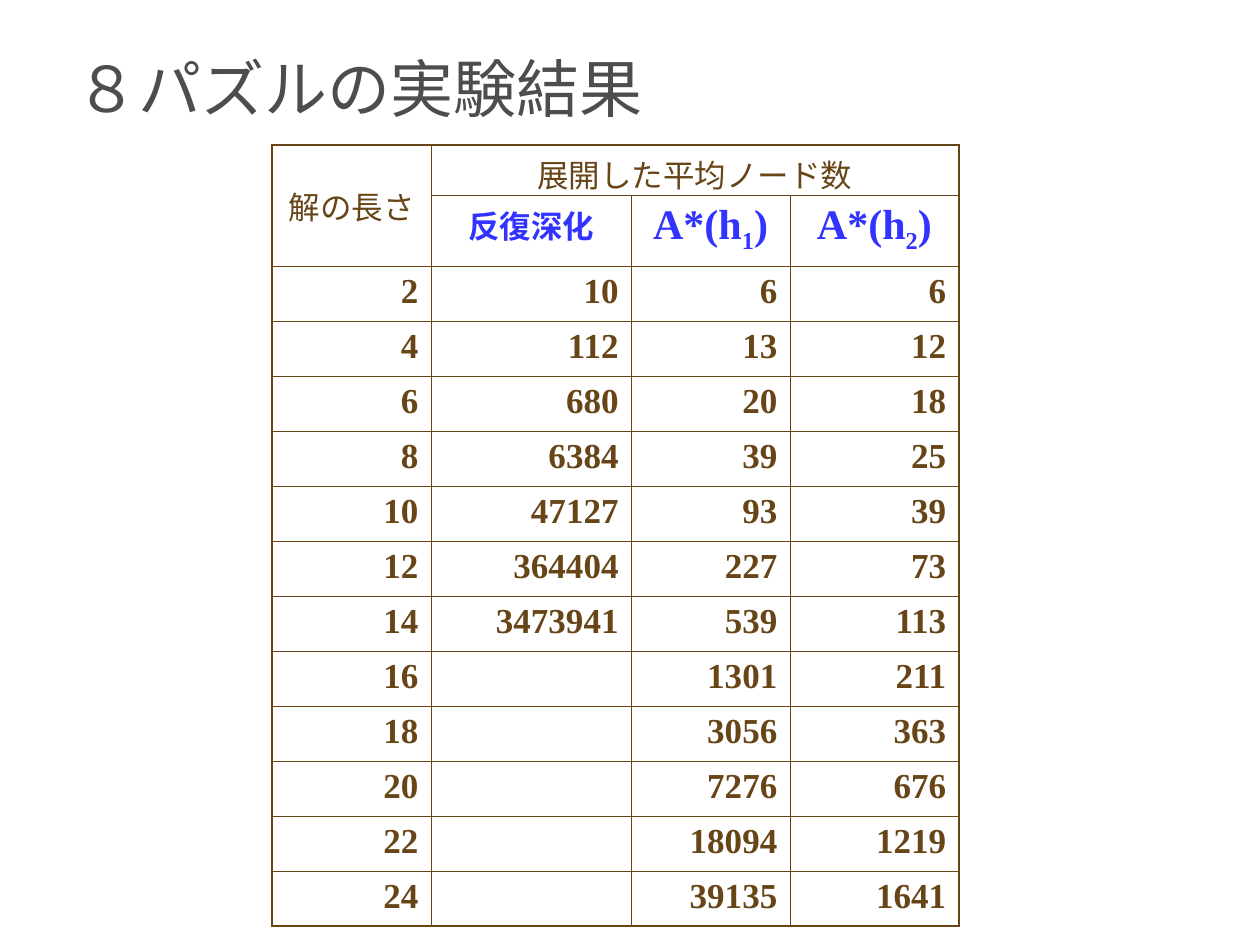
import dataclasses

import lxml.etree
import pptx
import pptx.dml.color
import pptx.enum.text
import pptx.oxml.ns
import pptx.util

Inches = pptx.util.Inches
Pt = pptx.util.Pt
ALIGN = pptx.enum.text.PP_ALIGN
MIDDLE = pptx.enum.text.MSO_ANCHOR.MIDDLE


@dataclasses.dataclass(frozen=True)
class Theme:
    font: str = "Times New Roman"
    title_color: str = "4D4D4D"
    table_color: str = "674517"
    method_color: str = "3333FF"
    title_size: int = 36
    heading_size: int = 18
    heuristic_size: int = 24
    number_size: int = 20
    outer_line: float = 1.08
    inner_line: float = 0.45


THEME = Theme()
COLUMN_WIDTHS = (1.26, 1.59, 1.26, 1.34)
HEADING_HEIGHTS = (0.4, 0.56)
RESULTS_HEIGHT = 5.24
RESULTS = (
    (2, 10, 6, 6),
    (4, 112, 13, 12),
    (6, 680, 20, 18),
    (8, 6384, 39, 25),
    (10, 47127, 93, 39),
    (12, 364404, 227, 73),
    (14, 3473941, 539, 113),
    (16, "", 1301, 211),
    (18, "", 3056, 363),
    (20, "", 7276, 676),
    (22, "", 18094, 1219),
    (24, "", 39135, 1641),
)


def style_paragraph(paragraph, size, color, bold=False, align=ALIGN.LEFT):
    paragraph.alignment = align
    paragraph.font.name = THEME.font
    paragraph.font.size = Pt(size)
    paragraph.font.bold = bold
    paragraph.font.color.rgb = pptx.dml.color.RGBColor.from_string(color)


def add_title(slide, wording):
    title = slide.shapes.add_textbox(Inches(0.5), Inches(0.31), Inches(9), Inches(0.77))
    title.text_frame.word_wrap = True
    title.text_frame.vertical_anchor = MIDDLE
    heading = title.text_frame.paragraphs[0]
    heading.text = wording
    style_paragraph(heading, THEME.title_size, THEME.title_color)


def fill_cell(cell, wording, size, color=THEME.table_color, bold=False, align=ALIGN.CENTER):
    paragraph = cell.text_frame.paragraphs[0]
    paragraph.text = str(wording)
    style_paragraph(paragraph, size, color, bold, align)


def fill_heuristic(cell, number):
    fill_cell(cell, "A*(h", THEME.heuristic_size, THEME.method_color, bold=True)
    paragraph = cell.text_frame.paragraphs[0]
    subscript = paragraph.add_run()
    subscript.text = str(number)
    subscript.font._element.set("baseline", "-25000")
    paragraph.add_run().text = ")"


def draw_border(cell, side, width):
    properties = cell._tc.get_or_add_tcPr()
    qn = pptx.oxml.ns.qn
    line = lxml.etree.SubElement(properties, qn(f"a:ln{side}"), w=str(int(Pt(width))))
    fill = lxml.etree.SubElement(line, qn("a:solidFill"))
    lxml.etree.SubElement(fill, qn("a:srgbClr"), val=THEME.table_color)


def draw_grid(table):
    row_count, column_count = len(table.rows), len(table.columns)
    for row in range(row_count):
        for column in range(column_count):
            cell = table.cell(row, column)
            on_edge = {
                "L": column == 0,
                "R": column + cell.span_width == column_count,
                "T": row == 0,
                "B": row + cell.span_height == row_count,
            }
            for side, outer in on_edge.items():
                draw_border(cell, side, THEME.outer_line if outer else THEME.inner_line)
            cell.fill.background()


def add_results_table(slide):
    row_heights = HEADING_HEIGHTS + (RESULTS_HEIGHT / len(RESULTS),) * len(RESULTS)
    table = slide.shapes.add_table(
        len(row_heights), len(COLUMN_WIDTHS), Inches(2.16), Inches(1.15),
        Inches(sum(COLUMN_WIDTHS)), Inches(sum(row_heights)),
    ).table
    table.first_row = False
    table.horz_banding = False
    for column, width in zip(table.columns, COLUMN_WIDTHS):
        column.width = Inches(width)
    for row, height in zip(table.rows, row_heights):
        row.height = Inches(height)

    solution_length, expanded_nodes = table.cell(0, 0), table.cell(0, 1)
    solution_length.merge(table.cell(1, 0))
    expanded_nodes.merge(table.cell(0, 3))
    solution_length.vertical_anchor = MIDDLE
    fill_cell(solution_length, "解の長さ", THEME.heading_size)
    fill_cell(expanded_nodes, "展開した平均ノード数", THEME.heading_size)
    fill_cell(table.cell(1, 1), "反復深化", THEME.heading_size, THEME.method_color, bold=True)
    for number in (1, 2):
        fill_heuristic(table.cell(1, number + 1), number)

    for row, counts in enumerate(RESULTS, start=len(HEADING_HEIGHTS)):
        for column, count in enumerate(counts):
            fill_cell(table.cell(row, column), count, THEME.number_size,
                      bold=True, align=ALIGN.RIGHT)
    draw_grid(table)


def main():
    presentation = pptx.Presentation()
    presentation.slide_width = Inches(10)
    presentation.slide_height = Inches(7.5)
    slide = presentation.slides.add_slide(presentation.slide_layouts[6])
    add_title(slide, "８パズルの実験結果")
    add_results_table(slide)
    presentation.save("out.pptx")


if __name__ == "__main__":
    main()
